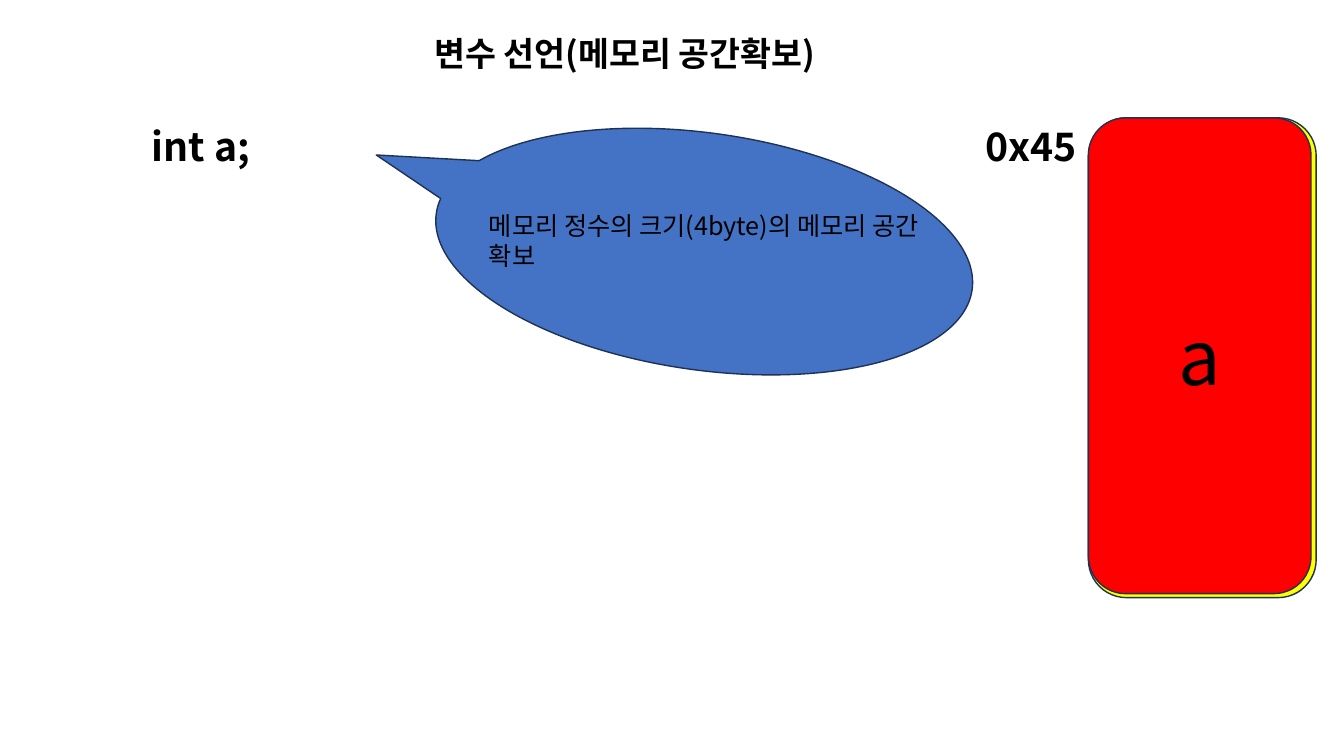
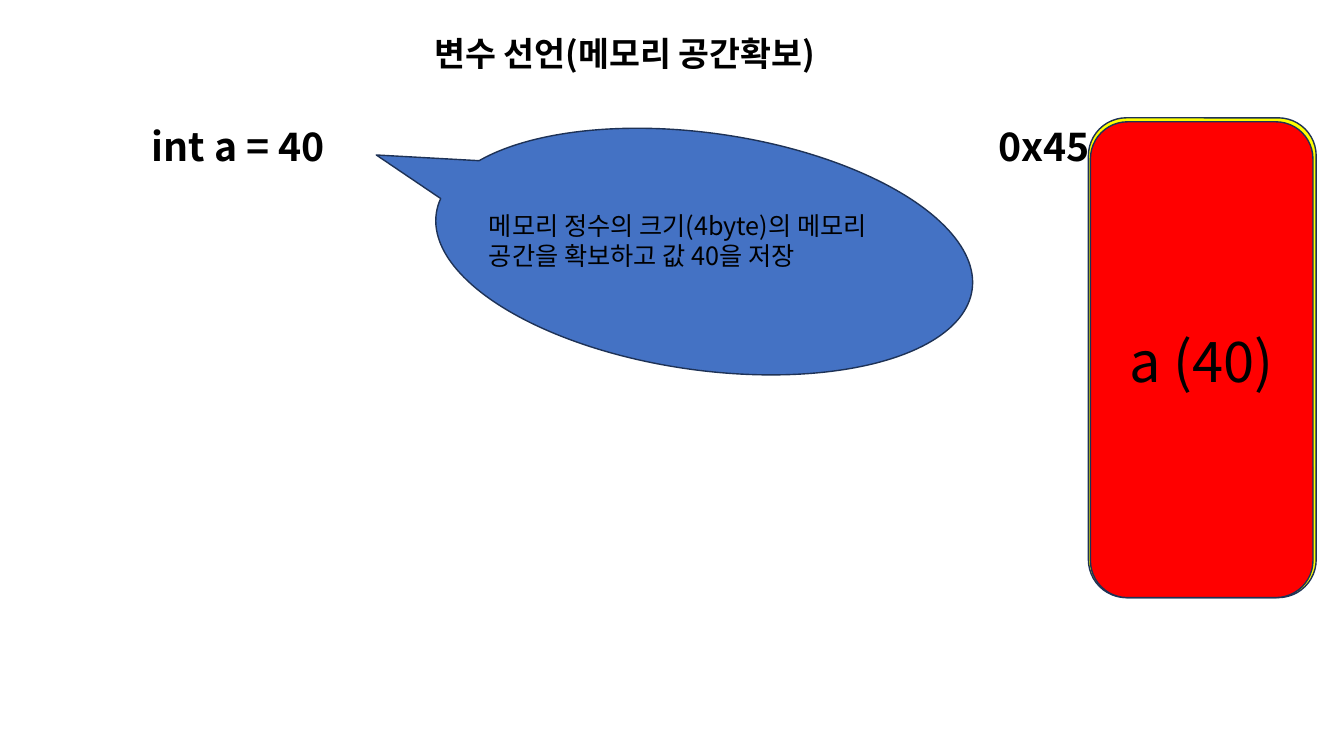
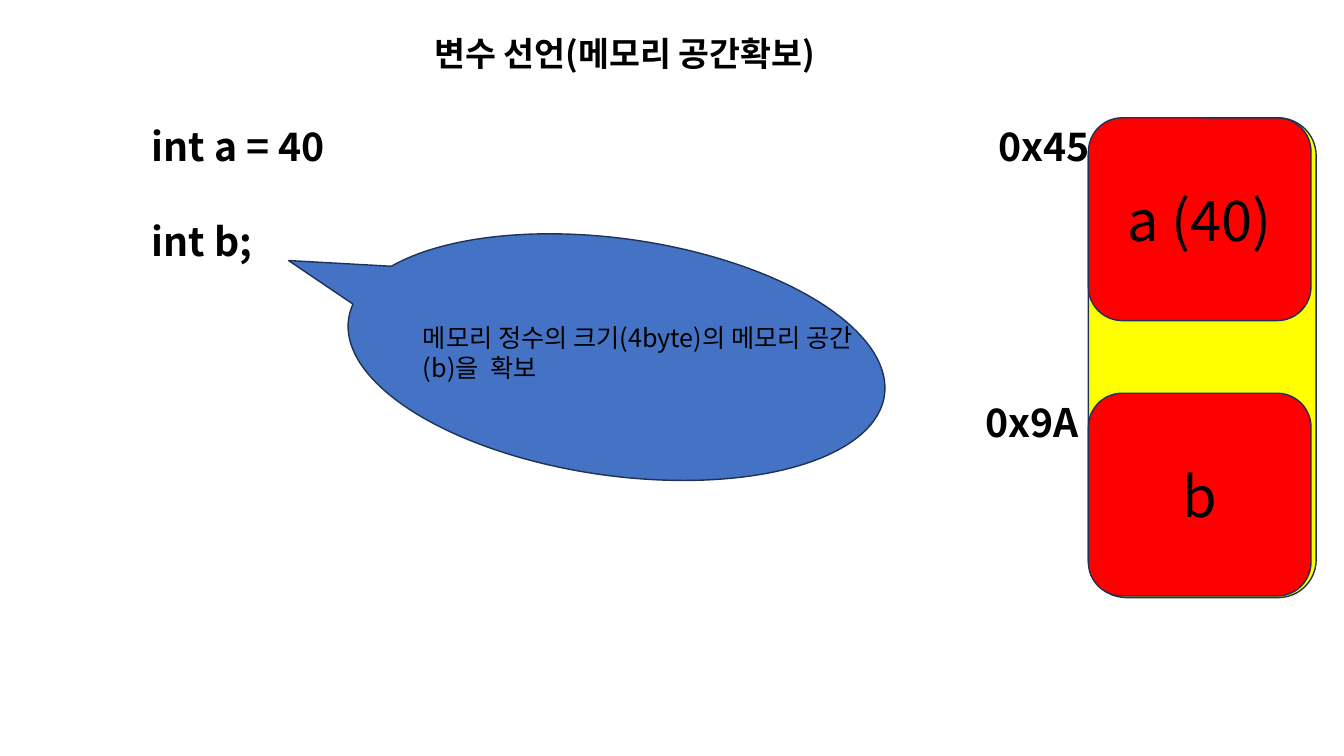
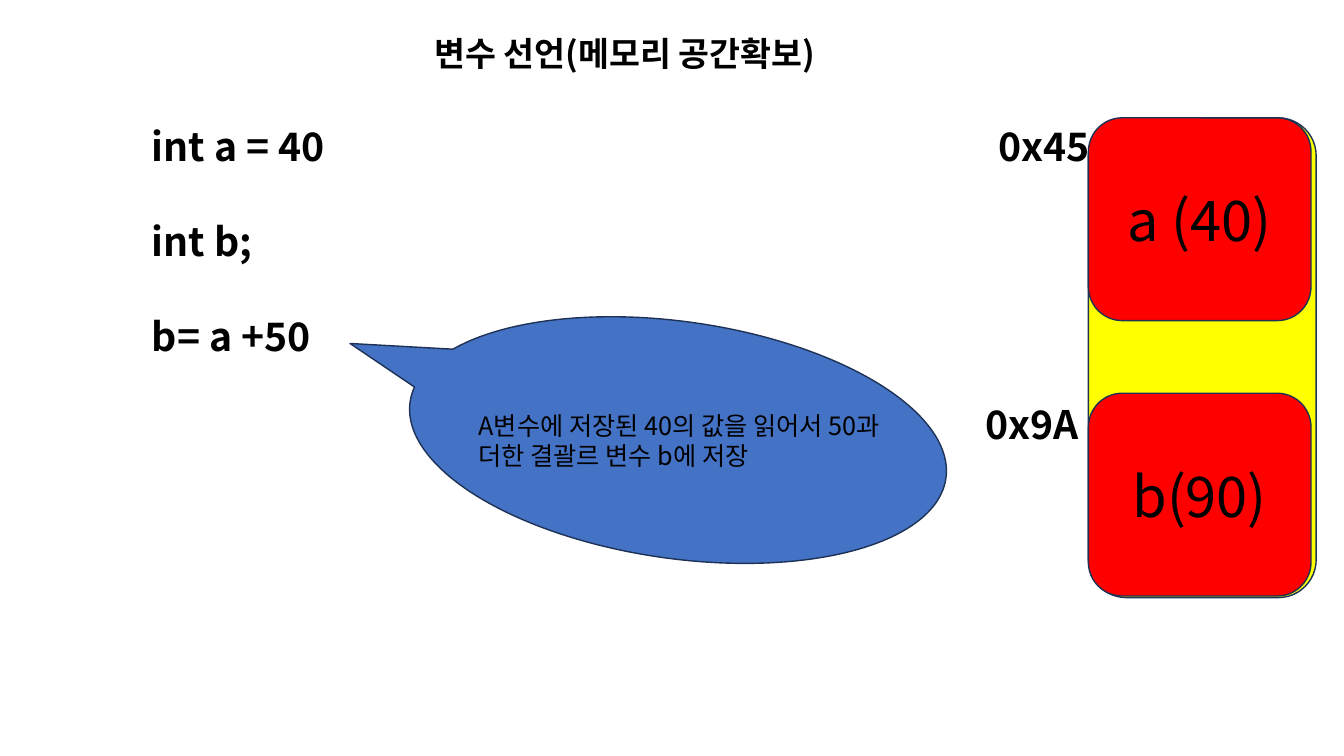
import dataclasses

import lxml.etree
import pptx
import pptx.dml.color
import pptx.enum.shapes
import pptx.enum.text
import pptx.oxml.ns
import pptx.util

Cm = pptx.util.Cm
Pt = pptx.util.Pt
RGB = pptx.dml.color.RGBColor
SHAPE = pptx.enum.shapes.MSO_SHAPE
ANCHOR = pptx.enum.text.MSO_ANCHOR
ALIGN = pptx.enum.text.PP_ALIGN


@dataclasses.dataclass(frozen=True)
class Theme:
    font: str = "Noto Sans CJK KR"
    text: RGB = RGB(0x00, 0x00, 0x00)
    outline: RGB = RGB(0x1E, 0x32, 0x56)
    memory: RGB = RGB(0xFF, 0xFF, 0x00)
    variable: RGB = RGB(0xFF, 0x00, 0x00)
    callout: RGB = RGB(0x44, 0x72, 0xC4)
    title_size: int = 24
    code_size: int = 28
    note_size: int = 18
    code_gap: int = 34


theme = Theme()


def write(sp, lines, size, bold=False, align=ALIGN.LEFT, anchor=ANCHOR.TOP, gap=0):
    tf = sp.text_frame
    tf.text = "\n".join(lines)
    tf.word_wrap = True
    tf.vertical_anchor = anchor
    for i, p in enumerate(tf.paragraphs):
        p.alignment = align
        p.space_before = Pt(gap if i else 0)
        for r in p.runs:
            r.font.size = Pt(size)
            r.font.bold = bold
            r.font.color.rgb = theme.text
            r.font.name = theme.font
            ea = lxml.etree.SubElement(r.font._element, pptx.oxml.ns.qn("a:ea"))
            ea.set("typeface", theme.font)


def add_box(s, kind, left, top, width, height, fill):
    sp = s.shapes.add_shape(kind, Cm(left), Cm(top), Cm(width), Cm(height))
    sp.shadow.inherit = False
    sp.fill.solid()
    sp.fill.fore_color.rgb = fill
    sp.line.color.rgb = theme.outline
    sp.line.width = Pt(1)
    return sp


MEMORY_LEFT, TOP, SECOND_TOP = 27.43, 2.97, 9.91
FULL, HALF = 11.99, 5.11
ADDRESS_LEFT, ADDRESS_NEAR = 24.59, 24.92

cell_a = (MEMORY_LEFT, TOP, HALF, "a (40)", 40)
address_a = (ADDRESS_NEAR, TOP, "0x45")

slides = [
    {
        "code": ["int a;"],
        "cells": [(MEMORY_LEFT, TOP, FULL, "a", 54)],
        "addresses": [(ADDRESS_LEFT, TOP, "0x45")],
        "callout": (14.76, -0.48),
        "note": (12.07, 5.18, "메모리 정수의 크기(4byte)의 메모리 공간 확보"),
    },
    {
        "code": ["int a = 40"],
        "cells": [(27.48, 3.07, FULL, "a (40)", 40)],
        "addresses": [address_a],
        "callout": (14.76, -0.48),
        "note": (12.07, 5.18, "메모리 정수의 크기(4byte)의 메모리 공간을 확보하고 값 40을 저장"),
    },
    {
        "code": ["int a = 40", "int b;"],
        "cells": [cell_a, (MEMORY_LEFT, SECOND_TOP, HALF, "b", 40)],
        "addresses": [address_a, (ADDRESS_LEFT, SECOND_TOP, "0x9A")],
        "callout": (12.55, 2.18),
        "note": (10.41, 8, "메모리 정수의 크기(4byte)의 메모리 공간(b)을  확보"),
    },
    {
        "code": ["int a = 40", "int b;", "b= a +50"],
        "cells": [cell_a, (MEMORY_LEFT, SECOND_TOP, HALF, "b(90)", 40)],
        "addresses": [address_a, (ADDRESS_LEFT, 9.96, "0x9A")],
        "callout": (14.1, 4.27),
        "note": (11.81, 10.21, "A변수에 저장된 40의 값을 읽어서 50과 더한 결괄르 변수 b에 저장"),
    },
]

prs = pptx.Presentation()
prs.slide_width = Cm(33.87)
prs.slide_height = Cm(19.05)
layout = prs.slide_layouts[5]
title = layout.placeholders[0]
title.left, title.top, title.width, title.height = Cm(10.69), Cm(0.71), Cm(13.56), Cm(1.27)

for content in slides:
    s = prs.slides.add_slide(layout)
    write(s.shapes.title, ["변수 선언(메모리 공간확보)"], theme.title_size, bold=True)

    code = content["code"]
    code_height = 1.45 + 2.39 * (len(code) - 1)
    sp = s.shapes.add_textbox(Cm(3.58), Cm(TOP), Cm(6.91), Cm(code_height))
    write(sp, code, theme.code_size, bold=True, gap=theme.code_gap)

    add_box(s, SHAPE.ROUNDED_RECTANGLE, MEMORY_LEFT, TOP, 5.74, 12.09, theme.memory)
    for left, top, height, label, size in content["cells"]:
        sp = add_box(s, SHAPE.ROUNDED_RECTANGLE, left, top, 5.61, height, theme.variable)
        write(sp, [label], size, align=ALIGN.CENTER, anchor=ANCHOR.MIDDLE)

    for left, top, label in content["addresses"]:
        sp = s.shapes.add_textbox(Cm(left), Cm(top), Cm(3.18), Cm(1.45))
        write(sp, [label], theme.code_size, bold=True)

    left, top = content["callout"]
    sp = add_box(s, SHAPE.OVAL_CALLOUT, left, top, 5.97, 13.64, theme.callout)
    sp.rotation = 98.1

    left, top, note = content["note"]
    sp = s.shapes.add_textbox(Cm(left), Cm(top), Cm(11.35), Cm(1.8))
    write(sp, [note], theme.note_size)

prs.save("out.pptx")
